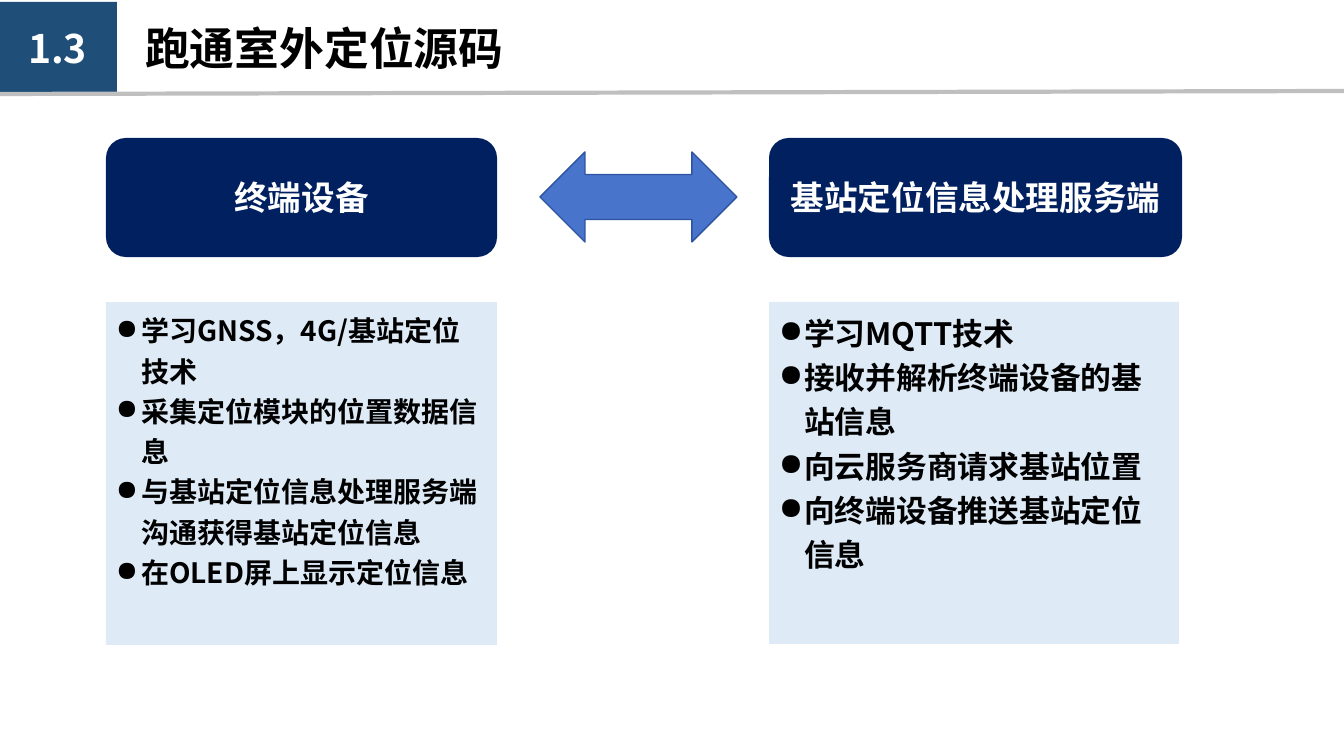
from pptx import Presentation, util as u
from pptx.dml.color import RGBColor
from pptx.enum import shapes, text
from pptx.oxml.ns import qn
from lxml import etree

SCALE = 914400 / 100.8
FONT = "Noto Sans CJK SC"
WHITE = RGBColor(0xFF, 0xFF, 0xFF)
BLACK = RGBColor(0, 0, 0)
STEEL = RGBColor(0x1F, 0x4E, 0x79)
NAVY = RGBColor(0x00, 0x20, 0x60)
PALE = RGBColor(0xDE, 0xEB, 0xF7)
BLUE = RGBColor(0x48, 0x74, 0xCB)
EDGE = RGBColor(0x2E, 0x54, 0xA1)
GREY = RGBColor(0xBF, 0xBF, 0xBF)
KIND = shapes.MSO_SHAPE
ALIGN = text.PP_ALIGN
ANCHOR = text.MSO_ANCHOR


def px(*nums):
    """Turn pixels into EMU."""
    return [u.Emu(round(n * SCALE)) for n in nums]


def write(shape, *lines, size, color=BLACK, font=FONT, align=ALIGN.LEFT,
          anchor=ANCHOR.MIDDLE, wrap=True, bullet=None):
    """Fill a shape with bold paragraphs."""
    frame = shape.text_frame
    frame.text = "\n".join(lines)
    frame.word_wrap, frame.vertical_anchor = wrap, anchor
    for para in frame.paragraphs:
        para.alignment = align
        if bullet:
            para.line_spacing = 1.2
            props = para._p.get_or_add_pPr()
            props.set("marL", str(u.Inches(0.25)))
            props.set("indent", str(-u.Inches(0.25)))
            etree.SubElement(props, qn("a:buChar")).set("char", bullet)
        run = para.runs[0]
        run.font.size, run.font.bold = u.Pt(size), True
        run.font.name, run.font.color.rgb = font, color
        east = etree.SubElement(run._r.get_or_add_rPr(), qn("a:ea"))
        east.set("typeface", FONT)


def block(slide, kind, box, fill, edge=None):
    """Add a flat filled shape."""
    shape = slide.shapes.add_shape(kind, *px(*box))
    shape.shadow.inherit = False
    shape.fill.solid()
    shape.fill.fore_color.rgb = fill
    if edge:
        shape.line.color.rgb, shape.line.width = edge, u.Pt(1)
    else:
        shape.line.fill.background()
    return shape


def header(slide, box, number, name):
    """Place the section number, title and rule."""
    x, y, w, h = box
    badge = block(slide, KIND.RECTANGLE, (x, y, 119, h), STEEL)
    write(badge, number, size=28, color=WHITE, align=ALIGN.CENTER)
    title = slide.shapes.title
    title.left, title.top, title.width, title.height = px(x + 137, y + 13, 735, 65)
    write(title, name, size=32)
    rule = slide.shapes.add_connector(
        shapes.MSO_CONNECTOR.STRAIGHT, *px(x, y + h, x + w, y + h - 3))
    rule.line.color.rgb, rule.line.width = GREY, u.Pt(3)
    etree.SubElement(rule._element.spPr, qn("a:effectLst"))


def column(slide, box, head, points, size, trim=0):
    """Place a heading block above its list of points."""
    x, y, w, h = box
    top = block(slide, KIND.ROUNDED_RECTANGLE, (x, y, w, 119), NAVY)
    write(top, head, size=24, color=WHITE, font="Calibri",
          align=ALIGN.CENTER, wrap=False)
    body = block(slide, KIND.RECTANGLE, (x, y + 164, w - trim, h - 164), PALE)
    write(body, *points, size=size, anchor=ANCHOR.TOP, bullet="●")


def main():
    """Build and save the slide."""
    deck = Presentation()
    deck.slide_width, deck.slide_height = px(1344, 756)
    slide = deck.slides.add_slide(deck.slide_layouts[5])
    header(slide, (-2, 2, 1347, 92), "1.3", "跑通室外定位源码")
    column(slide, (106, 138, 391, 507), "终端设备",
           ["学习GNSS，4G/基站定位技术", "采集定位模块的位置数据信息",
            "与基站定位信息处理服务端沟通获得基站定位信息",
            "在OLED屏上显示定位信息"], 20)
    column(slide, (769, 138, 413, 506), "基站定位信息处理服务端",
           ["学习MQTT技术", "接收并解析终端设备的基站信息",
            "向云服务商请求基站位置", "向终端设备推送基站定位信息"], 22, trim=3)
    block(slide, KIND.LEFT_RIGHT_ARROW, (540, 152, 197, 90), BLUE, EDGE)
    deck.save("out.pptx")


main()
